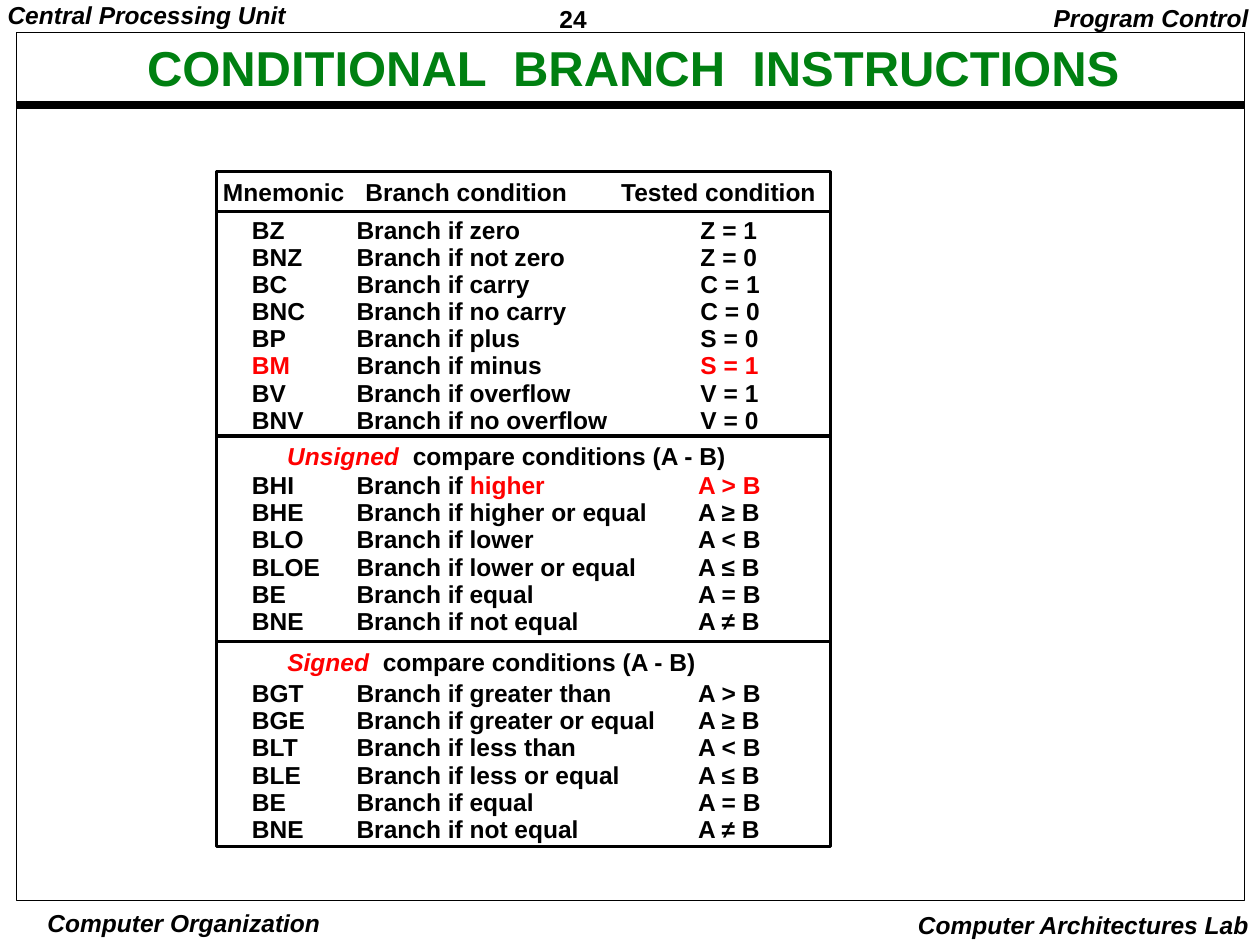
from dataclasses import dataclass

from lxml.etree import SubElement
from pptx import Presentation
from pptx.dml.color import RGBColor
from pptx.enum.shapes import MSO_CONNECTOR, MSO_SHAPE
from pptx.enum.text import MSO_ANCHOR, MSO_AUTO_SIZE, PP_ALIGN
from pptx.oxml.ns import qn
from pptx.util import Inches, Pt


@dataclass(frozen=True)
class Theme:
    font: str = "Arial"
    ink: RGBColor = RGBColor(0, 0, 0)
    accent: RGBColor = RGBColor(0xFF, 0, 0)
    heading: RGBColor = RGBColor(0, 0x80, 0x11)
    body_size: int = 14
    title_size: int = 28


THEME = Theme()
TIGHT, LOOSE, SNUG = (0.07, 0.03), (0.1, 0.05), (0.03, 0.01)

FLAG_BRANCHES = [
    "BZ\tBranch if zero\tZ = 1",
    "BNZ\tBranch if not zero\tZ = 0",
    "BC\tBranch if carry\tC = 1",
    "BNC\tBranch if no carry\tC = 0",
    "BP\tBranch if plus\tS = 0",
    "|BM\t|Branch if minus\t|S = 1",
    "BV\tBranch if overflow\tV = 1",
    "BNV\tBranch if no overflow\tV = 0",
]
UNSIGNED_BRANCHES = [
    "BHI\tBranch if |higher\tA > B",
    "BHE\tBranch if higher or equal\tA ≥ B",
    "BLO\tBranch if lower\tA < B",
    "BLOE\tBranch if lower or equal\tA ≤ B",
    "BE\tBranch if equal\tA = B",
    "BNE\tBranch if not equal\tA ≠ B",
]
SIGNED_BRANCHES = [
    "BGT\tBranch if greater than\tA > B",
    "BGE\tBranch if greater or equal\tA ≥ B",
    "BLT\tBranch if less than\tA < B",
    "BLE\tBranch if less or equal\tA ≤ B",
    "BE\tBranch if equal\tA = B",
    "BNE\tBranch if not equal\tA ≠ B",
]


def add_text(s, box, lines, size=THEME.body_size, color=THEME.ink, italic=False,
             accent_italic=False, align=PP_ALIGN.LEFT, spacing=0.9, inset=TIGHT,
             tabs=(), wrap=False):
    """Place bold lines of text; every second part between bars is accented."""
    sp = s.shapes.add_textbox(*map(Inches, box))
    tf = sp.text_frame
    tf.word_wrap = wrap
    tf.auto_size = MSO_AUTO_SIZE.SHAPE_TO_FIT_TEXT
    tf.margin_left = tf.margin_right = Inches(inset[0])
    tf.margin_top = tf.margin_bottom = Inches(inset[1])
    for i, line in enumerate(lines):
        p = tf.add_paragraph() if i else tf.paragraphs[0]
        p.alignment, p.line_spacing = align, spacing
        if tabs:
            tab_list = SubElement(p._p.get_or_add_pPr(), qn("a:tabLst"))
            for tab in tabs:
                SubElement(tab_list, qn("a:tab"), pos=str(Inches(tab)), algn="l")
        for j, part in enumerate(line.split("|")):
            if not part:
                continue
            accented = j % 2 == 1
            r = p.add_run()
            r.text = part
            r.font.name, r.font.size, r.font.bold = THEME.font, Pt(size), True
            r.font.italic = italic or (accented and accent_italic)
            r.font.color.rgb = THEME.accent if accented else color
    return sp


def add_rule(s, left, right, y, width):
    line = s.shapes.add_connector(MSO_CONNECTOR.STRAIGHT, Inches(left), Inches(y),
                                  Inches(right), Inches(y))
    line.line.color.rgb, line.line.width = THEME.ink, Pt(width)
    SubElement(line._element.spPr, qn("a:effectLst"))


def add_frame(s, box, width):
    sp = s.shapes.add_shape(MSO_SHAPE.RECTANGLE, *map(Inches, box))
    sp.shadow.inherit = False
    sp.fill.background()
    sp.line.color.rgb, sp.line.width = THEME.ink, Pt(width)


def add_margins(s, width):
    """Running header and footer, set out across the slide width."""
    right = width + 0.01
    add_text(s, (4.37, 0, 1.08, 0.29), ["24"], spacing=1.01)
    add_text(s, (-0.01, 0, 2.5, 0.27), ["Central Processing Unit"], italic=True)
    add_text(s, (right - 1.75, 0, 1.75, 0.31), ["Program Control"], italic=True,
             align=PP_ALIGN.RIGHT, inset=LOOSE)
    add_text(s, (0.26, 7.2, 2.4, 0.26), ["Computer Organization"], italic=True,
             align=PP_ALIGN.CENTER, spacing=1.0, inset=SNUG)
    add_text(s, (right - 2.83, 7.17, 2.83, 0.33), ["Computer Architectures Lab"],
             italic=True, align=PP_ALIGN.RIGHT, spacing=1.0, inset=LOOSE)


def add_title_panel(s, box):
    """Page frame with the title above a heavy rule."""
    left, top, width, _ = box
    add_rule(s, left, left + width, top + 0.57, 4.5)
    add_frame(s, box, 0.5)
    title = add_text(s, (left + 0.19, top, 9.41, 0.6),
                     ["CONDITIONAL  BRANCH  INSTRUCTIONS"], size=THEME.title_size,
                     color=THEME.heading, align=PP_ALIGN.CENTER, wrap=True)
    title.text_frame.vertical_anchor = MSO_ANCHOR.MIDDLE


def add_branch_list(s, box):
    """Framed list: column heads, then three ruled groups of branches."""
    left, top, width, _ = box
    # Rows of each group
    for lines, dy, height, spacing, last_tab in (
            (FLAG_BRANCHES, 0.34, 1.78, 0.92, 3.56),
            (UNSIGNED_BRANCHES, 2.36, 1.36, 0.93, 3.54),
            (SIGNED_BRANCHES, 4.01, 1.36, 0.93, 3.54)):
        add_text(s, (left + 0.21, top + dy, 7.04, height), lines, spacing=spacing,
                 tabs=(0.83, last_tab), wrap=True)
    # Group headings
    for kind, dy, w in (("Unsigned", 2.14, 3.63), ("Signed", 3.77, 3.39)):
        add_text(s, (left + 0.49, top + dy, w, 0.27),
                 [f"|{kind}  |compare conditions (A - B)"], accent_italic=True)
    # Column heads
    add_text(s, (left - 0.02, top + 0.04, 4.86, 0.27),
             ["Mnemonic\tBranch condition\tTested condition"], tabs=(1.13, 3.16))
    # Frame and rules
    add_frame(s, box, 2)
    for dy in (0.32, 2.1, 3.73):
        add_rule(s, left, left + width, top + dy, 2)


def main():
    prs = Presentation()
    prs.slide_width, prs.slide_height = Inches(10), Inches(7.5)
    s = prs.slides.add_slide(prs.slide_layouts[6])
    add_margins(s, 10)
    add_title_panel(s, (0.13, 0.26, 9.75, 6.89))
    add_branch_list(s, (1.72, 1.36, 4.87, 5.36))
    prs.save("out.pptx")


if __name__ == "__main__":
    main()
